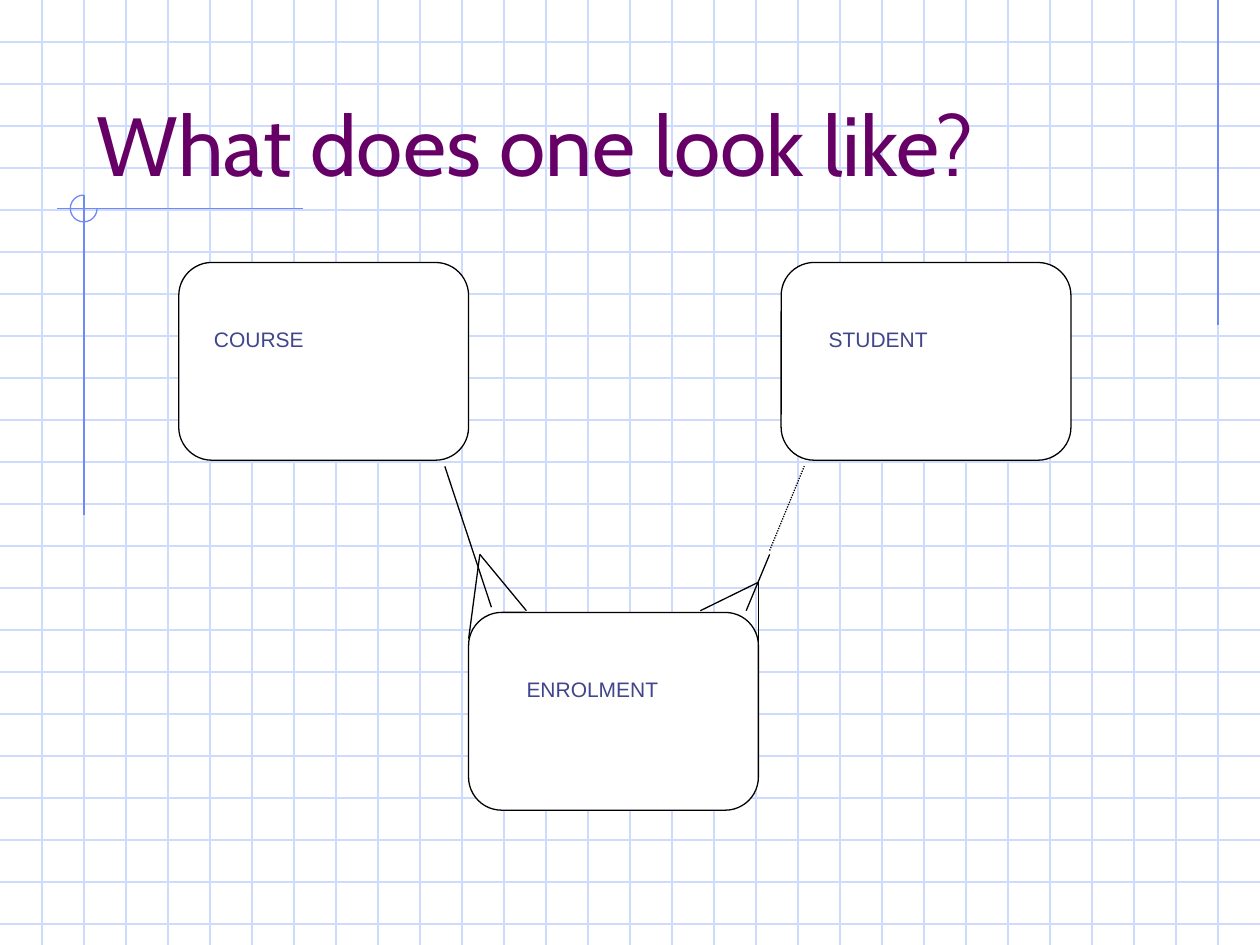
"""Build a slide with an entity diagram of courses, students and enrolments."""
from lxml import etree
from pptx import Presentation
from pptx.dml.color import RGBColor
from pptx.enum import dml, shapes, text
from pptx.oxml.ns import qn
from pptx.util import Pt

WIDE, HIGH, STEP = 720, 540, 24
HUES = {"grid": "CFDBFD", "trim": "6F89F7", "title": "660066",
        "label": "40458C", "box": "FFFFFF", "ink": "000000"}
TITLE = "What does one look like?"
TRIM = [(696, 0, 696, 186), (173, 119.2, 32.5, 119.2), (48, 111.5, 48, 294.5)]
BOX = (165.6, 113)
# name, left, top, label indent, label width
ENTITIES = [
    ("COURSE", 102.2, 150, 13, 132.5),
    ("STUDENT", 446.4, 150, 20, 106),
    ("ENROLMENT", 267.8, 350, 26, 132.5),
]
LINKS = [
    (254.2, 266.5, 280.8, 347),
    (426.4, 349, 439.8, 316.8),
    (274.2, 316.8, 300.8, 349),
    (274.2, 316.8, 267.8, 365),
    (433.2, 332.8, 400.2, 349),
    (433.4, 332.8, 433.4, 381),
]
OPTIONAL = (439.8, 314.6, 459.6, 266.4)


def hue(key):
    return RGBColor.from_string(HUES[key])


def rule(ends, key):
    line = slide.shapes.add_connector(
        shapes.MSO_CONNECTOR.STRAIGHT, *map(Pt, ends))
    etree.SubElement(line._element.spPr, qn("a:effectLst"))
    line.line.color.rgb = hue(key)
    line.line.width = Pt(0.75)
    return line


def shape(kind, place, fill=None, edge=None):
    item = slide.shapes.add_shape(kind, *map(Pt, place))
    item.shadow.inherit = False
    if fill:
        item.fill.solid()
        item.fill.fore_color.rgb = hue(fill)
    else:
        item.fill.background()
    if edge:
        item.line.color.rgb = hue(edge)
        item.line.width = Pt(0.75)
    else:
        item.line.fill.background()
    return item


def write(frame, words, size, face, key, anchor):
    frame.word_wrap = True
    frame.auto_size = text.MSO_AUTO_SIZE.NONE
    frame.vertical_anchor = anchor
    para = frame.paragraphs[0]
    para.text = words
    para.alignment = text.PP_ALIGN.LEFT
    para.font.size = Pt(size)
    para.font.name = face
    para.font.color.rgb = hue(key)


deck = Presentation()
deck.slide_width, deck.slide_height = Pt(WIDE), Pt(HIGH)
slide = deck.slides.add_slide(deck.slide_layouts[5])

for y in range(STEP, HIGH, STEP):
    rule((0, y, WIDE, y), "grid")
for x in range(STEP, WIDE, STEP):
    rule((x, 0, x, HIGH), "grid")
for ends in TRIM:
    rule(ends, "trim")
arc = shape(shapes.MSO_SHAPE.ARC, (40.2, 111.5, 15.3, 15.3), edge="trim")
arc.adjustments[0], arc.adjustments[1] = 0, 162

title = slide.shapes.title
title.left, title.top, title.width, title.height = map(Pt, (48, 24, 612, 90))
write(title.text_frame, TITLE, 48, "Cabin", "title", text.MSO_ANCHOR.BOTTOM)
slide.shapes._spTree.append(title._element)

for name, left, top, indent, width in ENTITIES:
    box = shape(shapes.MSO_SHAPE.ROUNDED_RECTANGLE, (left, top, *BOX), "box", "ink")
    box.adjustments[0] = 0.167
    label = shape(shapes.MSO_SHAPE.RECTANGLE,
                  (left + indent, top + 33, width, 48), "box")
    write(label.text_frame, name, 12, "Arial", "label", text.MSO_ANCHOR.TOP)

for ends in LINKS:
    rule(ends, "ink")
rule(OPTIONAL, "ink").line.dash_style = dml.MSO_LINE.ROUND_DOT

deck.save("out.pptx")
